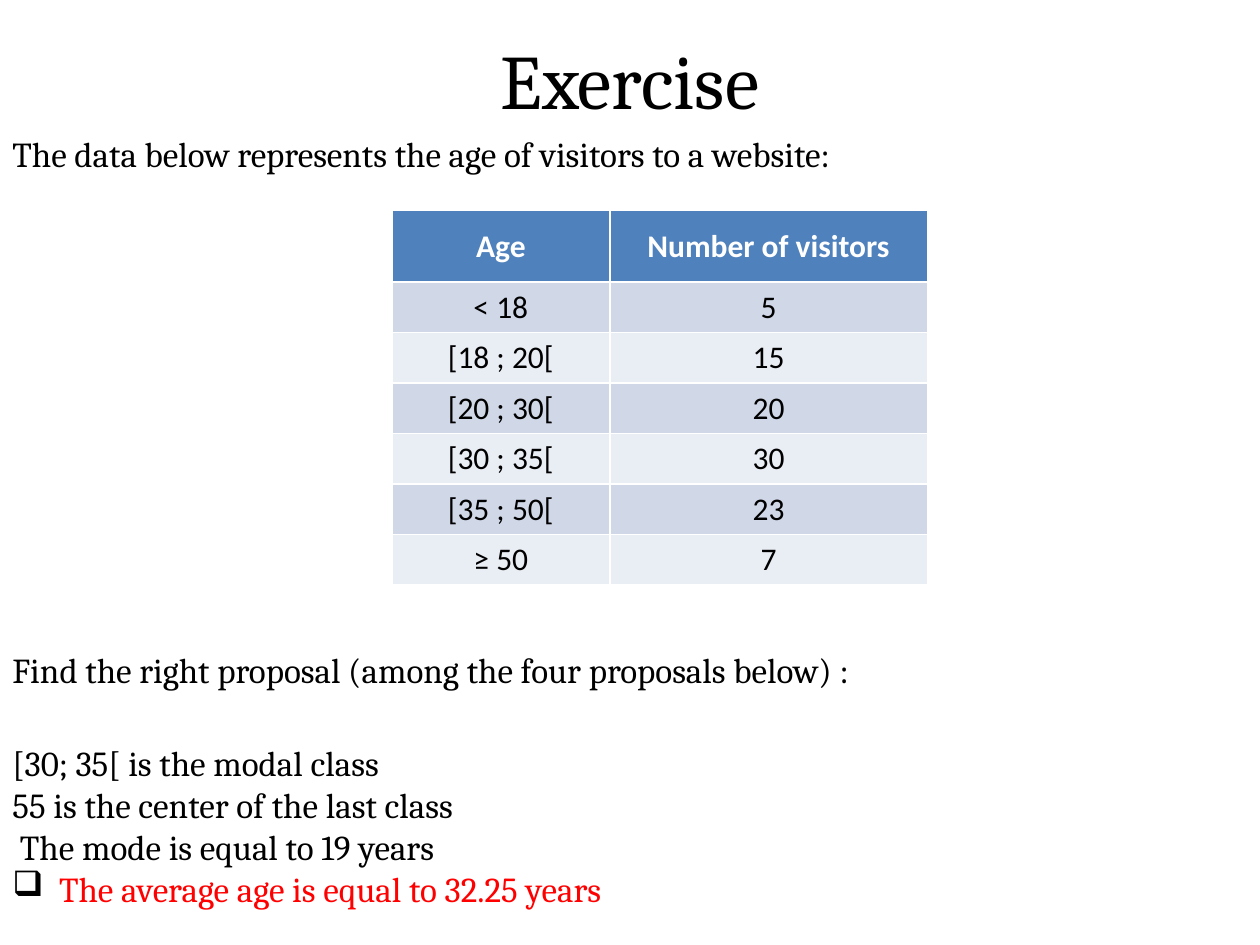
from dataclasses import dataclass

from lxml import etree
from pptx import Presentation
from pptx import util as u
from pptx.dml.color import RGBColor
from pptx.enum import text
from pptx.oxml import ns

Inches = u.Inches


@dataclass(frozen=True)
class Theme:
    """Fonts, sizes and colours of the slide."""
    serif: str = "Cambria"
    sans: str = "Calibri"
    title: int = 44
    body: int = 20
    cell: int = 18
    ink: str = "000000"
    white: str = "FFFFFF"
    right: str = "FF0000"
    head: str = "4F81BD"
    bands: tuple = ("D0D8E8", "E9EDF4")


THEME = Theme()

ROWS = [
    ("Age", "Number of visitors"),
    ("< 18", "5"),
    ("[18 ; 20[", "15"),
    ("[20 ; 30[", "20"),
    ("[30 ; 35[", "30"),
    ("[35 ; 50[", "23"),
    ("≥ 50", "7"),
]


def style(para, font, size, color, bold=False):
    """Set the font of a paragraph."""
    para.font.name = font
    para.font.size = u.Pt(size)
    para.font.bold = bold
    para.font.color.rgb = RGBColor.from_string(color)


def indent(para, left, first=0):
    """Set the left margin and first-line indent of a paragraph."""
    props = para._p.get_or_add_pPr()
    props.set("marL", str(Inches(left)))
    props.set("indent", str(Inches(first)))


def bullet(para, char, color):
    """Give a paragraph a coloured bullet."""
    props = para._p.get_or_add_pPr()
    tint = etree.SubElement(props, ns.qn("a:buClr"))
    etree.SubElement(tint, ns.qn("a:srgbClr"), val=color)
    etree.SubElement(props, ns.qn("a:buChar"), char=char)


def add_title(slide, box, words):
    """Place the title."""
    title = slide.shapes.title
    title.left, title.top, title.width, title.height = map(Inches, box)
    frame = title.text_frame
    frame.text = words
    frame.vertical_anchor = text.MSO_ANCHOR.MIDDLE
    para = frame.paragraphs[0]
    para.alignment = text.PP_ALIGN.CENTER
    style(para, THEME.serif, THEME.title, THEME.ink)


def add_lines(slide, box, lines):
    """Place a text box and return its paragraphs."""
    frame = slide.shapes.add_textbox(*map(Inches, box)).text_frame
    frame.word_wrap = True
    frame.text = "\n".join(lines)
    return frame.paragraphs


def add_intro(slide, box):
    """Place the opening sentence."""
    words = "The data below represents the age of visitors to a website:"
    style(add_lines(slide, box, [words])[0], THEME.serif, THEME.body, THEME.ink)


def add_ages(slide, box):
    """Place the table of ages."""
    frame = slide.shapes.add_table(len(ROWS), 2, *map(Inches, box))
    table = frame.table
    for col, width in zip(table.columns, (1.73, 2.52)):
        col.width = Inches(width)
    for i, (row, values) in enumerate(zip(table.rows, ROWS)):
        head = i == 0
        row.height = Inches(0.57 if head else 0.4)
        fill = THEME.head if head else THEME.bands[(i - 1) % 2]
        for cell, value in zip(row.cells, values):
            cell.text = value
            cell.fill.solid()
            cell.fill.fore_color.rgb = RGBColor.from_string(fill)
            if head:
                cell.vertical_anchor = text.MSO_ANCHOR.MIDDLE
            para = cell.text_frame.paragraphs[0]
            para.alignment = text.PP_ALIGN.CENTER
            style(para, THEME.sans, THEME.cell,
                  THEME.white if head else THEME.ink, head)


def add_choices(slide, box):
    """Place the question and its four proposals."""
    paras = add_lines(slide, box, [
        "Find the right proposal (among the four proposals below) :",
        "[30; 35[ is the modal class",
        "55 is the center of the last class",
        "The mode is equal to 19 years",
        "The average age is equal to 32.25 years",
    ])
    answer = paras[-1]
    paras[1].space_before = u.Pt(29)
    indent(paras[3], 0.06)
    indent(answer, 0.37, -0.37)
    bullet(answer, "❑", THEME.ink)
    for para in paras:
        style(para, THEME.serif, THEME.body, THEME.ink)
    answer.font.color.rgb = RGBColor.from_string(THEME.right)


def main():
    """Build and save the slide."""
    deck = Presentation()
    deck.slide_width, deck.slide_height = Inches(10), Inches(7.5)
    slide = deck.slides.add_slide(deck.slide_layouts[5])
    add_title(slide, (0.5, 0, 9, 1.25), "Exercise")
    add_intro(slide, (0, 1, 9, 0.5))
    add_ages(slide, (3.11, 1.67, 4.25, 2.97))
    add_choices(slide, (0, 5.1, 9.25, 2.18))
    deck.save("out.pptx")


if __name__ == "__main__":
    main()
